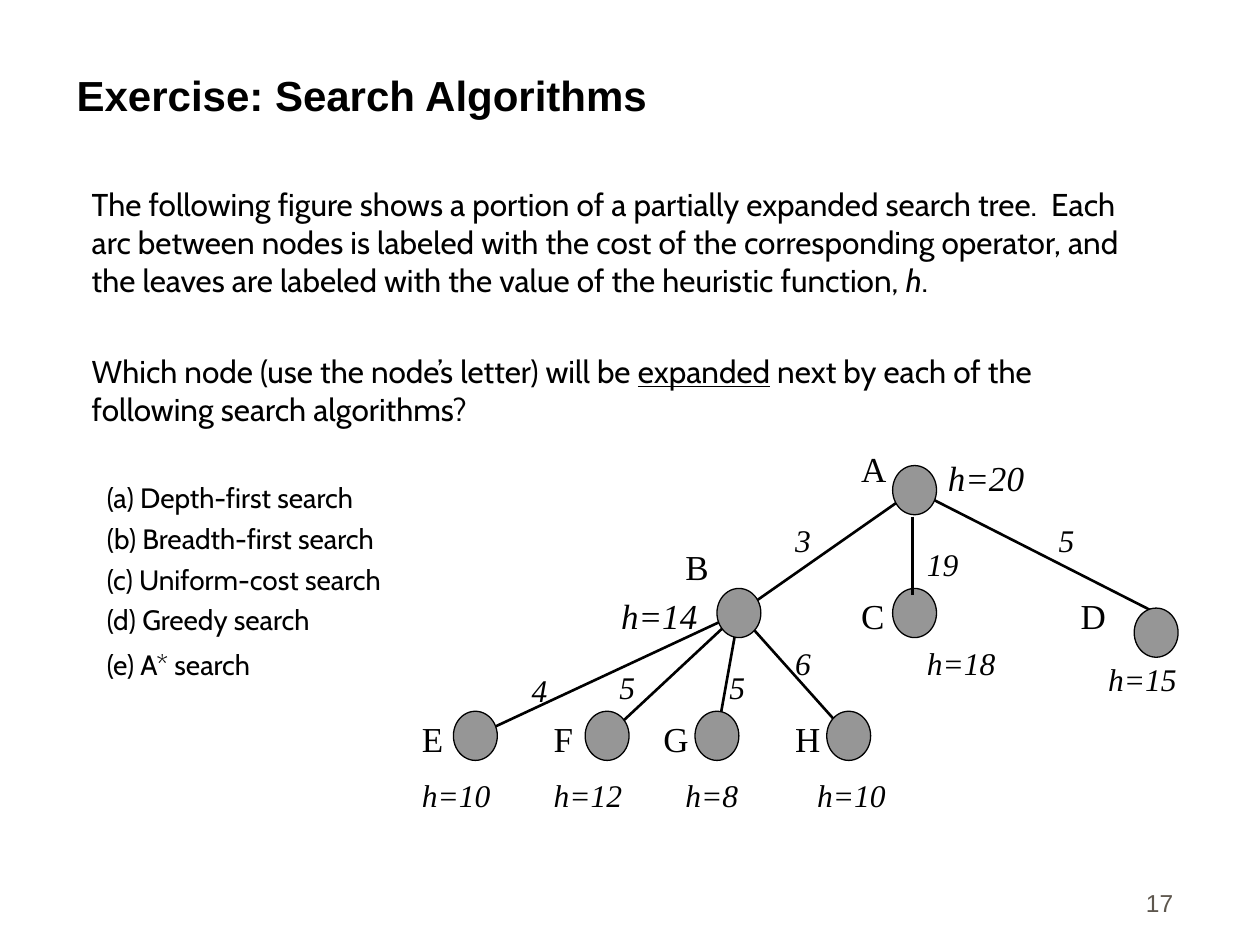
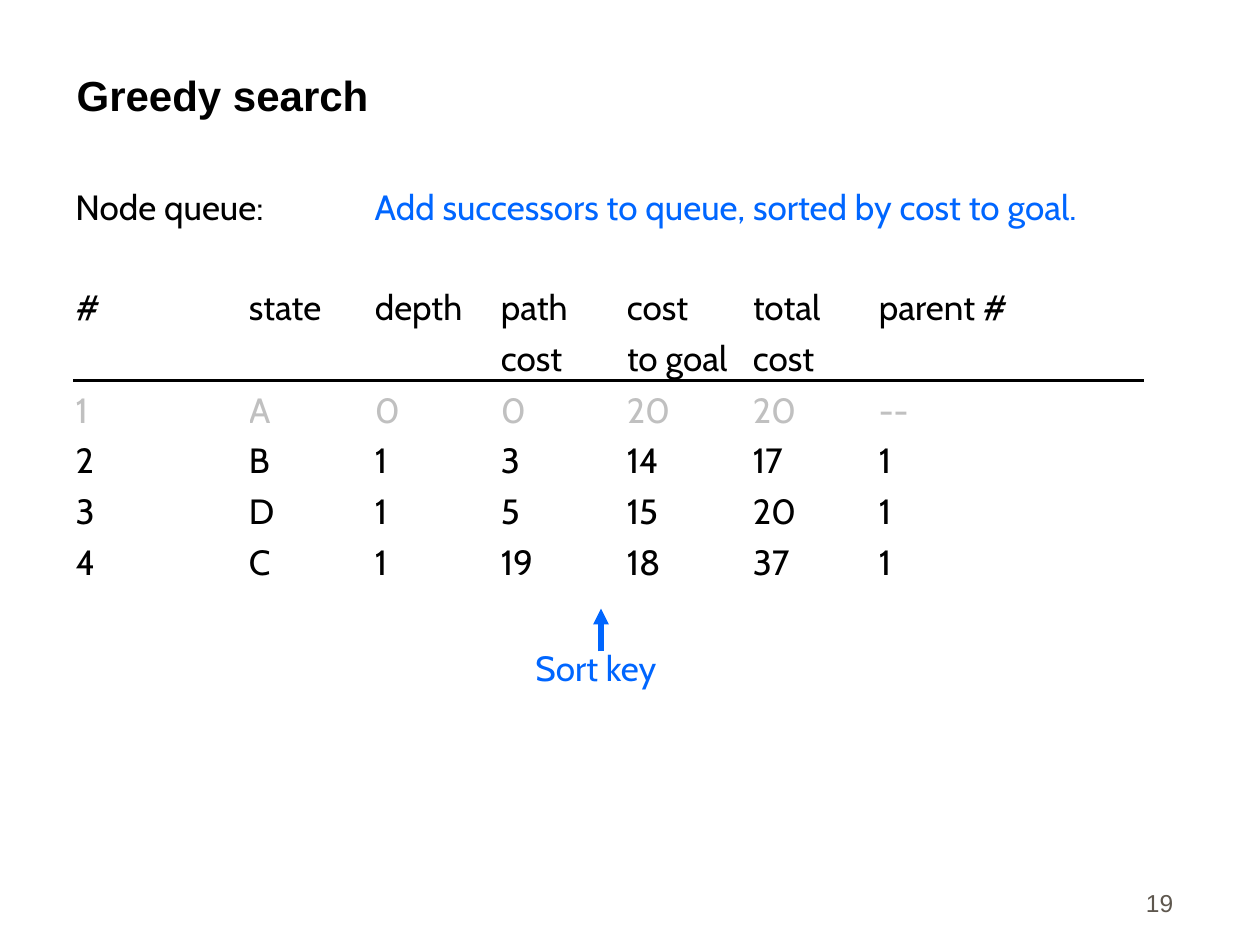
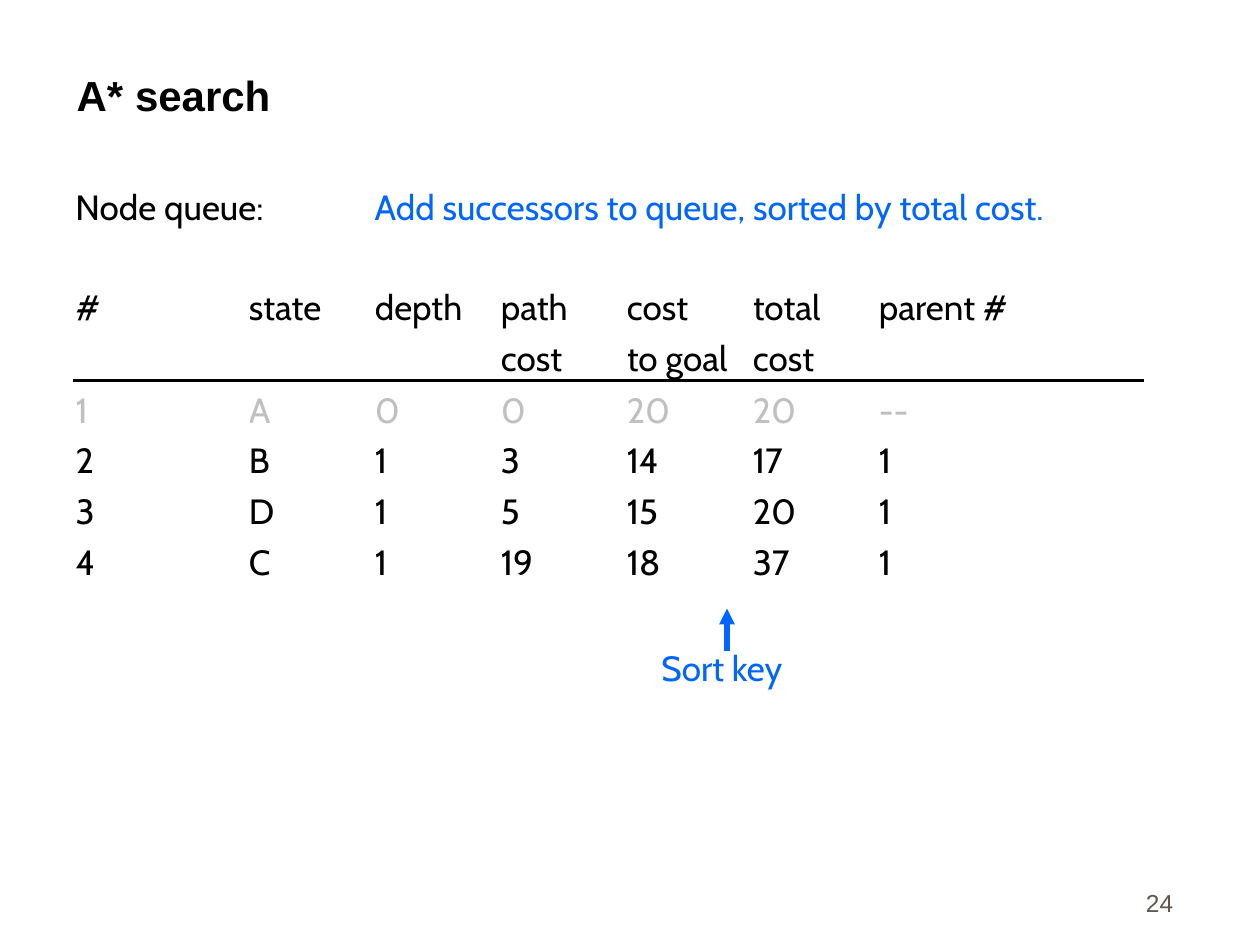
from dataclasses import dataclass

import lxml.etree
import pptx
import pptx.dml.color
import pptx.enum.shapes
import pptx.enum.text
import pptx.oxml.ns
import pptx.util

SHAPE = pptx.enum.shapes.MSO_SHAPE
ANCHOR = pptx.enum.text.MSO_ANCHOR
ALIGN = pptx.enum.text.PP_ALIGN
qn = pptx.oxml.ns.qn


@dataclass(frozen=True)
class Theme:
    ink: str = "000000"
    paper: str = "FFFFFF"
    accent: str = "0066FF"
    faded: str = "C0C0C0"
    node: str = "969696"
    footer: str = "5E574E"
    head_font: str = "Arial"
    body_font: str = "Cabin"
    tree_font: str = "Times New Roman"
    title_size: int = 24
    large: int = 20
    medium: int = 18
    small: int = 16
    footer_size: int = 14


@dataclass(frozen=True)
class Grid:
    left: float
    top: float
    width: float
    height: float
    cols: int
    rows: int

    def x(self, col):
        return pptx.util.Inches(self.left + col * self.width / self.cols)

    def y(self, row):
        return pptx.util.Inches(self.top + row * self.height / self.rows)

    def box(self, col, row, w, h):
        x, y = self.x(col), self.y(row)
        return x, y, self.x(col + w) - x, self.y(row + h) - y


PAGE = Grid(0, 0, 10, 7.5, 40, 30)
TREE = Grid(3.25, 3.5, 6.1, 3.12, 35, 16)


def rgb(value):
    return pptx.dml.color.RGBColor.from_string(value)


class Deck:
    def __init__(self, theme):
        self.theme = theme
        self.prs = pptx.Presentation()
        self.prs.slide_width = pptx.util.Inches(PAGE.width)
        self.prs.slide_height = pptx.util.Inches(PAGE.height)
        self.s = None
        self.grid = PAGE

    def slide(self, title, number):
        t = self.theme
        self.s = self.prs.slides.add_slide(self.prs.slide_layouts[6])
        self.grid = PAGE
        self.text((2.04, 1, 35.68, 3), title, t.title_size, font=t.head_font,
                  bold=True, anchor=ANCHOR.BOTTOM)
        self.text((29.32, 27.32, 8.32, 2), str(number), t.footer_size, t.footer,
                  t.head_font, anchor=ANCHOR.BOTTOM, align=ALIGN.RIGHT)

    def run(self, p, text, size, color=None, font=None, bold=False, italic=False, underline=False):
        r = p.add_run()
        r.text = text
        f = r.font
        f.size = pptx.util.Pt(size)
        f.name = font or self.theme.body_font
        f.color.rgb = rgb(color or self.theme.ink)
        f.bold, f.italic, f.underline = bold, italic, underline

    def frame(self, area):
        tf = self.s.shapes.add_textbox(*self.grid.box(*area)).text_frame
        tf.word_wrap = True
        return tf

    def text(self, area, text, size, color=None, font=None, bold=False,
             anchor=ANCHOR.TOP, align=ALIGN.LEFT):
        tf = self.frame(area)
        tf.vertical_anchor = anchor
        p = tf.paragraphs[0]
        p.alignment = align
        self.run(p, text, size, color, font, bold)

    def body(self, area, paragraphs):
        tf = self.frame(area)
        for i, (indent, before, size, runs) in enumerate(paragraphs):
            p = tf.add_paragraph() if i else tf.paragraphs[0]
            p._p.get_or_add_pPr().set("marL", str(pptx.util.Inches(indent)))
            if i:
                p.space_before = pptx.util.Pt(before)
            for text, style in runs:
                self.run(p, text, size, **style)

    def shape(self, kind, area, fill, line=None):
        sp = self.s.shapes.add_shape(kind, *self.grid.box(*area))
        sp.shadow.inherit = False
        sp.fill.solid()
        sp.fill.fore_color.rgb = rgb(fill)
        if line:
            sp.line.color.rgb = rgb(line)
            sp.line.width = pptx.util.Pt(0.75)
        else:
            sp.line.fill.background()
        return sp

    def label(self, text, col, row, width=3, large=False, italic=True):
        t = self.theme
        tf = self.shape(SHAPE.RECTANGLE, (col, row, width, 3), t.paper).text_frame
        tf.word_wrap = True
        tf.vertical_anchor = ANCHOR.TOP
        p = tf.paragraphs[0]
        p.alignment = ALIGN.LEFT
        self.run(p, text, t.large if large else t.medium, font=t.tree_font, italic=italic)

    def node(self, col, row):
        self.shape(SHAPE.OVAL, (col, row, 2, 2), self.theme.node, self.theme.ink)

    def line(self, start, end, width, color=None, arrow=False):
        g = self.grid
        c = self.s.shapes.add_connector(
            pptx.enum.shapes.MSO_CONNECTOR.STRAIGHT,
            g.x(start[0]), g.y(start[1]), g.x(end[0]), g.y(end[1]))
        c.line.width = pptx.util.Pt(width)
        c.line.color.rgb = rgb(color or self.theme.ink)
        if arrow:
            lxml.etree.SubElement(c.line._get_or_add_ln(), qn("a:tailEnd"), type="triangle")
        lxml.etree.SubElement(c._element.spPr, qn("a:effectLst"))

    def table(self, area, widths, header_height, rows):
        t = self.theme
        table = self.s.shapes.add_table(len(rows), len(widths), *self.grid.box(*area)).table
        table.first_row = table.horz_banding = False
        for column, width in zip(table.columns, widths):
            column.width = self.grid.x(width)
        row_height = (area[3] - header_height) / (len(rows) - 1)
        for i, values in enumerate(rows):
            table.rows[i].height = self.grid.y(row_height if i else header_height)
            for j, value in enumerate(values):
                cell = table.cell(i, j)
                cell.fill.background()
                cell.margin_left = cell.margin_right = cell.margin_top = cell.margin_bottom = 0
                cell.vertical_anchor = ANCHOR.BOTTOM if i else ANCHOR.TOP
                tf = cell.text_frame
                for k, part in enumerate(value.split("\n")):
                    p = tf.add_paragraph() if k else tf.paragraphs[0]
                    if k:
                        p.space_before = pptx.util.Pt(5)
                    self.run(p, part, t.large, t.faded if i == 1 else t.ink)


NODES = {"A": (22, 1), "B": (14, 6), "C": (22, 6), "D": (33, 6.8),
         "E": (2, 11), "F": (8, 11), "G": (13, 11), "H": (19, 11)}
LETTERS = {"A": (20, 0), "B": (12, 4), "C": (20, 6), "D": (30, 6),
           "E": (0, 11), "F": (6, 11), "G": (11, 11), "H": (17, 11)}
COSTS = [("3", 17, 3), ("19", 23, 4), ("5", 29, 3), ("4", 5, 9.1),
         ("5", 9, 9), ("5", 14, 9), ("6", 17, 8)]
HEURISTICS = [("h=10", 0, 13.4), ("h=12", 6, 13.4), ("h=8", 12, 13.4),
              ("h=10", 18, 13.4), ("h=18", 23, 8), ("h=15", 31.25, 8.67)]
INNER_HEURISTICS = [("h=20", 23.95, 0.4), ("h=14", 9.07, 6)]
EDGES = [((23, 2), (15, 7)), ((23, 2), (34, 7))]
EDGES += [((15, 7), (col, 12)) for col in (3, 9, 14, 20)]

QUEUE = [
    ("#", "state", "depth", "path\ncost", "cost\nto goal", "total\ncost", "parent #"),
    ("1", "A", "0", "0", "20", "20", "--"),
    ("2", "B", "1", "3", "14", "17", "1"),
    ("3", "D", "1", "5", "15", "20", "1"),
    ("4", "C", "1", "19", "18", "37", "1"),
]


def exercise_slide(deck):
    t = deck.theme
    deck.slide("Exercise: Search Algorithms", 17)
    options = ["(a)\u00a0Depth-first search", "(b)\u00a0Breadth-first search",
               "(c)\u00a0Uniform-cost search", "(d)\u00a0Greedy search", "(e) A* search"]
    gaps = [30.5, 4, 4, 4, 6.5]
    deck.body((1, 5.68, 35.76, 20.84), [
        (0.38, 0, t.medium, [
            ("The following figure shows a portion of a partially expanded search tree.  "
             "Each arc between nodes is labeled with the cost of the corresponding operator, "
             "and the leaves are labeled with the value of the heuristic function, ", {}),
            ("h", {"italic": True}), (".", {})]),
        (0.38, 30.5, t.medium, [
            ("Which node (use the node’s letter) will be ", {}),
            ("expanded", {"underline": True}),
            (" next by each of the following search algorithms?", {})]),
        *[(0.5, gap, t.small, [(option, {})]) for option, gap in zip(options, gaps)],
    ])
    deck.grid = TREE
    for cost in COSTS:
        deck.label(*cost)
    for letter, place in LETTERS.items():
        deck.label(letter, *place, large=True, italic=False)
    for text, col, row in HEURISTICS:
        deck.label(text, col, row, width=5)
    for text, col, row in INNER_HEURISTICS:
        deck.label(text, col, row, width=5, large=True)
    for start, end in EDGES:
        deck.line(start, end, 1.5)
    for place in NODES.values():
        deck.node(*place)
    deck.line((22.9, 3.08), (22.9, 6.25), 1.5)


def queue_slide(deck, title, number, rule, key_col):
    t = deck.theme
    deck.slide(title, number)
    deck.text((2, 5.68, 9, 1.76), "Node queue:", t.large)
    deck.text((11.5, 5.68, 26, 1.76), rule, t.large, t.accent)
    deck.table((2.4, 9.1, 33.92, 9.44), (5.5, 4, 4, 4, 4, 4, 8.42), 3, QUEUE)
    deck.line((2.32, 12.08), (36.32, 12.08), 2.25)
    deck.line((key_col, 20.68), (key_col, 19.32), 3, t.accent, arrow=True)
    deck.text((key_col - 2.48, 20.32, 5, 1.76), "Sort key", t.large, t.accent)


def main():
    deck = Deck(Theme())
    exercise_slide(deck)
    queue_slide(deck, "Greedy search", 19,
                "Add successors to queue, sorted by cost to goal.", 19.08)
    queue_slide(deck, "A* search", 24,
                "Add successors to queue, sorted by total cost.", 23.08)
    deck.prs.save("out.pptx")


if __name__ == "__main__":
    main()
